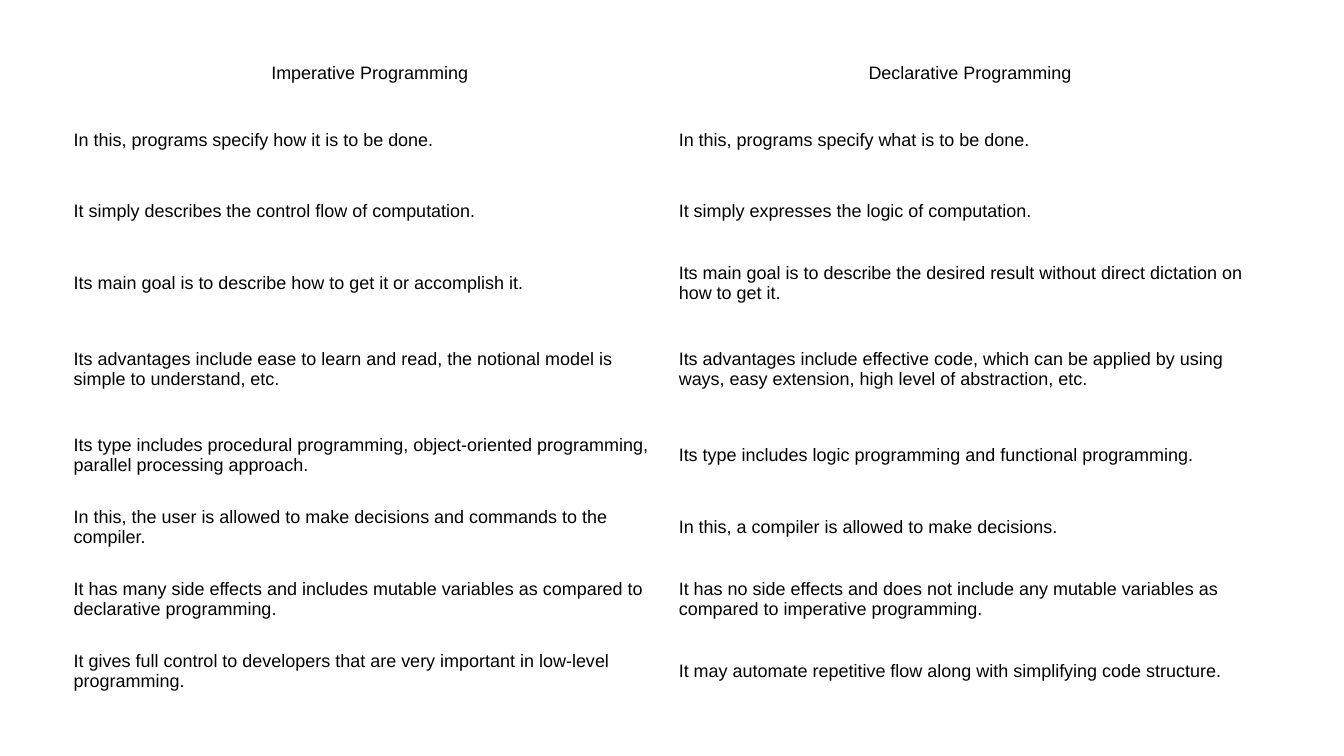
from dataclasses import dataclass

from pptx import Presentation
from pptx.dml.color import RGBColor
from pptx.enum.text import MSO_ANCHOR as Anchor, PP_ALIGN as Align
from pptx.table import _Cell as Cell
from pptx.util import Inches, Pt

COLORS = {"text": "000000", "cell": "FFFFFF"}
FONT_FORMAT = {
    "name": "Arial",
    "size": Pt(20),
    "bold": False,
}


@dataclass(frozen=True)
class ComparisonRow:
    imperative: str
    declarative: str
    height: float = 1.11


@dataclass(frozen=True)
class CellStyle:
    align: Align
    vertical_margin: float
    right_margin: float = 0.1


BODY_STYLE = CellStyle(Align.LEFT, 0.15)
HEADER_STYLES = (CellStyle(Align.CENTER, 0.1), CellStyle(Align.CENTER, 0.1, 0.25))

ROWS = [
    ComparisonRow("Imperative Programming", "Declarative Programming", 0.97),
    ComparisonRow(
        "In this, programs specify how it is to be done.",
        "In this, programs specify what is to be done.",
        1.1,
    ),
    ComparisonRow(
        "It simply describes the control flow of computation.",
        "It simply expresses the logic of computation.",
        1.1,
    ),
    ComparisonRow(
        "Its main goal is to describe how to get it or accomplish it.",
        "Its main goal is to describe the desired result without direct "
        "dictation on how to get it.",
    ),
    ComparisonRow(
        "Its advantages include ease to learn and read, the notional model is "
        "simple to understand, etc.",
        "Its advantages include effective code, which can be applied by using "
        "ways, easy extension, high level of abstraction, etc.",
        1.56,
    ),
    ComparisonRow(
        "Its type includes procedural programming, object-oriented programming, "
        "parallel processing approach.",
        "Its type includes logic programming and functional programming.",
    ),
    ComparisonRow(
        "In this, the user is allowed to make decisions and commands to the compiler.",
        "In this, a compiler is allowed to make decisions.",
    ),
    ComparisonRow(
        "It has many side effects and includes mutable variables as compared to "
        "declarative programming.",
        "It has no side effects and does not include any mutable variables as "
        "compared to imperative programming.",
    ),
    ComparisonRow(
        "It gives full control to developers that are very important in low-level "
        "programming.",
        "It may automate repetitive flow along with simplifying code structure.",
    ),
]


def fill_cell(cell: Cell, text: str, style: CellStyle) -> None:
    cell_format = {
        "vertical_anchor": Anchor.MIDDLE,
        "margin_left": Inches(0.1),
        "margin_right": Inches(style.right_margin),
        "margin_top": Inches(style.vertical_margin),
        "margin_bottom": Inches(style.vertical_margin),
    }
    for name, value in cell_format.items():
        setattr(cell, name, value)
    cell.fill.solid()
    cell.fill.fore_color.rgb = RGBColor.from_string(COLORS["cell"])

    paragraph = cell.text_frame.paragraphs[0]
    paragraph.alignment = style.align
    run = paragraph.add_run()
    run.text = text
    for name, value in FONT_FORMAT.items():
        setattr(run.font, name, value)
    run.font.color.rgb = RGBColor.from_string(COLORS["text"])


def main() -> None:
    presentation = Presentation()
    presentation.slide_width = Inches(20.79)
    presentation.slide_height = Inches(11.69)
    slide = presentation.slides.add_slide(presentation.slide_layouts[6])

    # Comparison table
    table = slide.shapes.add_table(
        len(ROWS), 2, Inches(1.04), Inches(0.65), Inches(18.72), Inches(10.28)
    ).table
    table.first_row = False
    table.horz_banding = False

    # Header and body rows
    for index, row in enumerate(ROWS):
        table.rows[index].height = Inches(row.height)
        styles = HEADER_STYLES if index == 0 else (BODY_STYLE, BODY_STYLE)
        for column, text in enumerate((row.imperative, row.declarative)):
            fill_cell(table.cell(index, column), text, styles[column])

    presentation.save("out.pptx")


if __name__ == "__main__":
    main()
